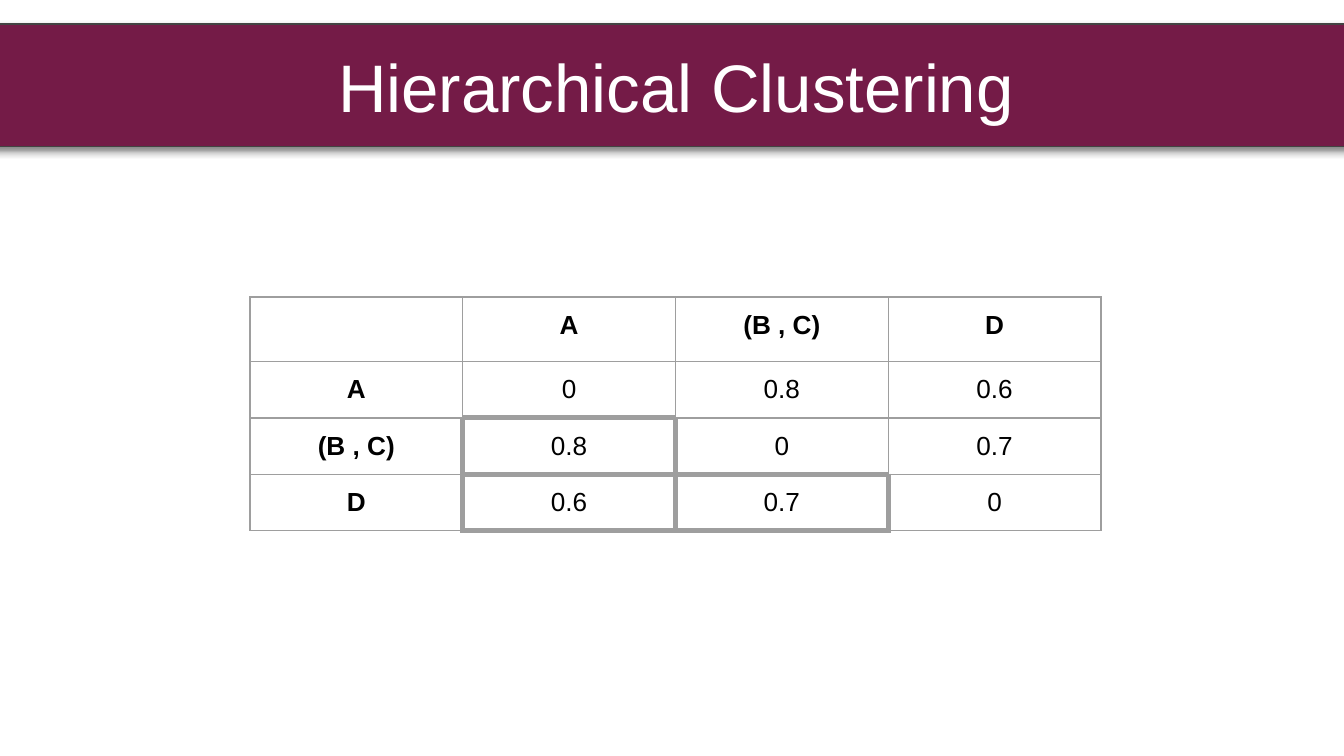
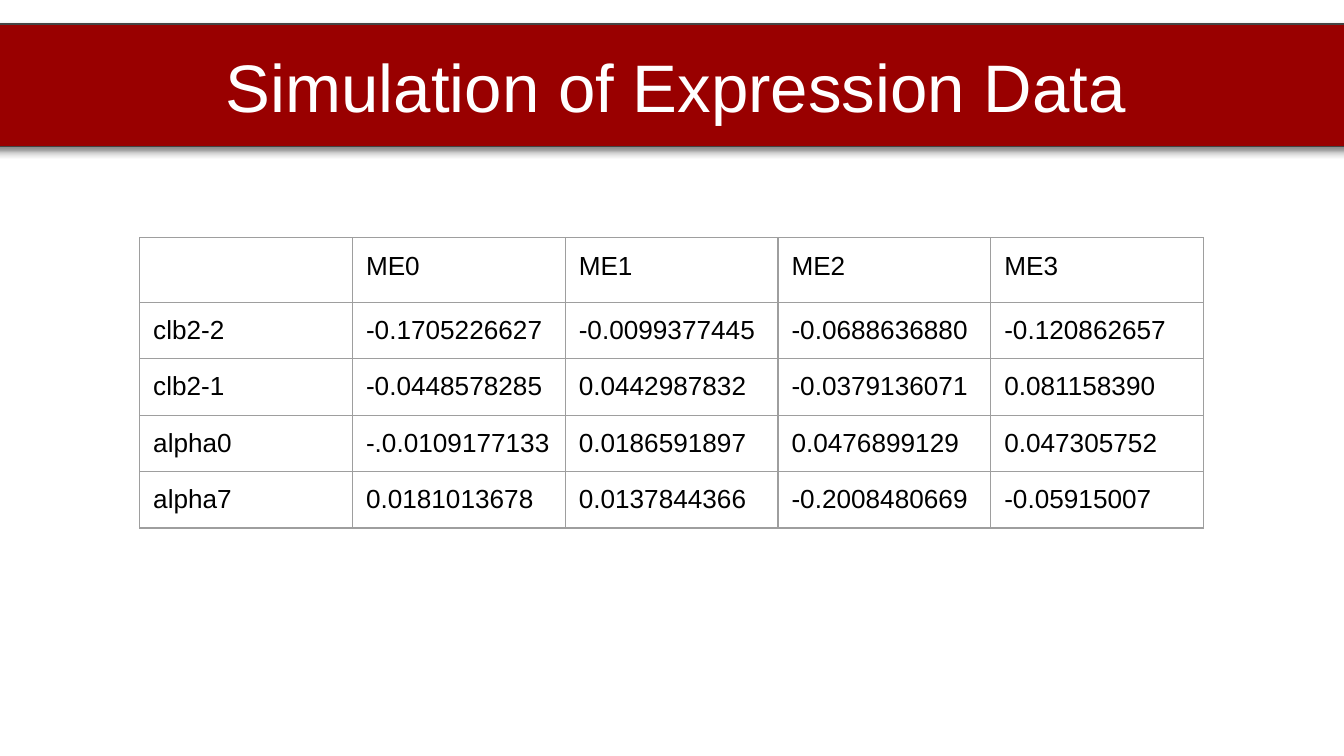
from dataclasses import dataclass

from lxml import etree
from pptx import Presentation
from pptx import util as u
from pptx.dml.color import RGBColor
from pptx.enum import text
from pptx.oxml import ns, parse_xml
from pptx.slide import Slide
from pptx.table import Table, _Cell

TITLE_ONLY = 5


@dataclass(frozen=True)
class Theme:
    font: str = "Arial"
    plum: str = "741B47"
    red: str = "990000"
    white: str = "FFFFFF"
    black: str = "000000"
    band_line: str = "434343"
    grid: str = "9E9E9E"
    title_size: float = 36
    cell_size: float = 14
    thin: float = 0.75
    heavy: float = 3


@dataclass(frozen=True)
class DataTable:
    left: float
    top: float
    rows: list[list[str]]
    align: text.PP_ALIGN = text.PP_ALIGN.LEFT
    bold_headings: bool = False
    outlined: frozenset[tuple[int, int]] = frozenset()
    column_width: float = 4.75 / 3
    header_height: float = 0.48
    row_height: float = 0.42


@dataclass(frozen=True)
class Page:
    title: str
    band_color: str
    table: DataTable


THEME = Theme()
MARGIN = u.Inches(0.1)

DISTANCES = DataTable(
    1.86, 2.21,
    [
        ["", "A", "(B , C)", "D"],
        ["A", "0", "0.8", "0.6"],
        ["(B , C)", "0.8", "0", "0.7"],
        ["D", "0.6", "0.7", "0"],
    ],
    align=text.PP_ALIGN.CENTER,
    bold_headings=True,
    outlined=frozenset({(2, 1), (3, 1), (3, 2)}),
)

EXPRESSION = DataTable(
    1.04, 1.77,
    [
        ["", "ME0", "ME1", "ME2", "ME3"],
        ["clb2-2", "-0.1705226627", "-0.0099377445", "-0.0688636880", "-0.120862657"],
        ["clb2-1", "-0.0448578285", "0.0442987832", "-0.0379136071", "0.081158390"],
        ["alpha0", "-.0.0109177133", "0.0186591897", "0.0476899129", "0.047305752"],
        ["alpha7", "0.0181013678", "0.0137844366", "-0.2008480669", "-0.05915007"],
    ],
)

PAGES = [
    Page("Hierarchical Clustering", THEME.plum, DISTANCES),
    Page("Simulation of Expression Data", THEME.red, EXPRESSION),
]


def rgb(color: str) -> RGBColor:
    return RGBColor.from_string(color)


def set_margins(target) -> None:
    for side in ("left", "right", "top", "bottom"):
        setattr(target, f"margin_{side}", MARGIN)


def style_paragraph(para, size: float, color: str, align, bold: bool = False) -> None:
    para.alignment = align
    para.font.name = THEME.font
    para.font.size = u.Pt(size)
    para.font.bold = bold
    para.font.color.rgb = rgb(color)


def add_title_band(slide: Slide, title: str, color: str) -> None:
    """Turn the title placeholder into the full-width band with a soft shadow."""
    band = slide.shapes.title
    band.left, band.top = u.Inches(-0.27), u.Inches(0.18)
    band.width, band.height = u.Inches(10.6), u.Inches(0.91)
    properties = band.element.spPr
    etree.SubElement(properties, ns.qn("a:prstGeom"), prst="roundRect")
    band.fill.solid()
    band.fill.fore_color.rgb = rgb(color)
    band.line.color.rgb = rgb(THEME.band_line)
    band.line.width = u.Pt(THEME.thin)
    properties.append(parse_xml(
        f'<a:effectLst {ns.nsdecls("a")}>'
        f'<a:outerShdw blurRad="{u.Pt(4.5)}" dist="{u.Pt(1.5)}" dir="5400000" '
        f'algn="bl" rotWithShape="0"><a:srgbClr val="{THEME.black}">'
        '<a:alpha val="50000"/></a:srgbClr></a:outerShdw></a:effectLst>'
    ))
    frame = band.text_frame
    frame.text = title
    frame.word_wrap = True
    frame.auto_size = text.MSO_AUTO_SIZE.NONE
    frame.vertical_anchor = text.MSO_ANCHOR.MIDDLE
    set_margins(frame)
    style_paragraph(frame.paragraphs[0], THEME.title_size, THEME.white,
                    text.PP_ALIGN.CENTER)


def set_borders(cell: _Cell, row: int, column: int,
                outlined: frozenset[tuple[int, int]]) -> None:
    """Draw an edge heavy where a cell on either side of it is outlined."""
    properties = cell._tc.get_or_add_tcPr()
    neighbours = {"L": (row, column - 1), "R": (row, column + 1),
                  "T": (row - 1, column), "B": (row + 1, column)}
    for side, neighbour in neighbours.items():
        heavy = outlined & {(row, column), neighbour}
        width = u.Pt(THEME.heavy if heavy else THEME.thin)
        properties.append(parse_xml(
            f'<a:ln{side} {ns.nsdecls("a")} w="{width}"><a:solidFill>'
            f'<a:srgbClr val="{THEME.grid}"/></a:solidFill></a:ln{side}>'
        ))


def fill_cell(table: Table, data: DataTable, row: int, column: int) -> None:
    cell = table.cell(row, column)
    set_borders(cell, row, column, data.outlined)
    cell.fill.background()
    value = data.rows[row][column]
    if value:
        cell.text = value
        set_margins(cell)
        heading = row == 0 or column == 0
        style_paragraph(cell.text_frame.paragraphs[0], THEME.cell_size, THEME.black,
                        data.align, bold=data.bold_headings and heading)


def add_data_table(slide: Slide, data: DataTable) -> None:
    row_count, column_count = len(data.rows), len(data.rows[0])
    height = data.header_height + data.row_height * (row_count - 1)
    table = slide.shapes.add_table(
        row_count, column_count, u.Inches(data.left), u.Inches(data.top),
        u.Inches(data.column_width * column_count), u.Inches(height),
    ).table
    table.first_row = table.horz_banding = False
    for column in table.columns:
        column.width = u.Inches(data.column_width)
    for index, row in enumerate(table.rows):
        row.height = u.Inches(data.row_height if index else data.header_height)
        for column_index in range(column_count):
            fill_cell(table, data, index, column_index)


def main() -> None:
    deck = Presentation()
    deck.slide_width = u.Inches(10)
    deck.slide_height = deck.slide_width * 9 // 16
    for page in PAGES:
        slide = deck.slides.add_slide(deck.slide_layouts[TITLE_ONLY])
        add_title_band(slide, page.title, page.band_color)
        add_data_table(slide, page.table)
    deck.save("out.pptx")


if __name__ == "__main__":
    main()
